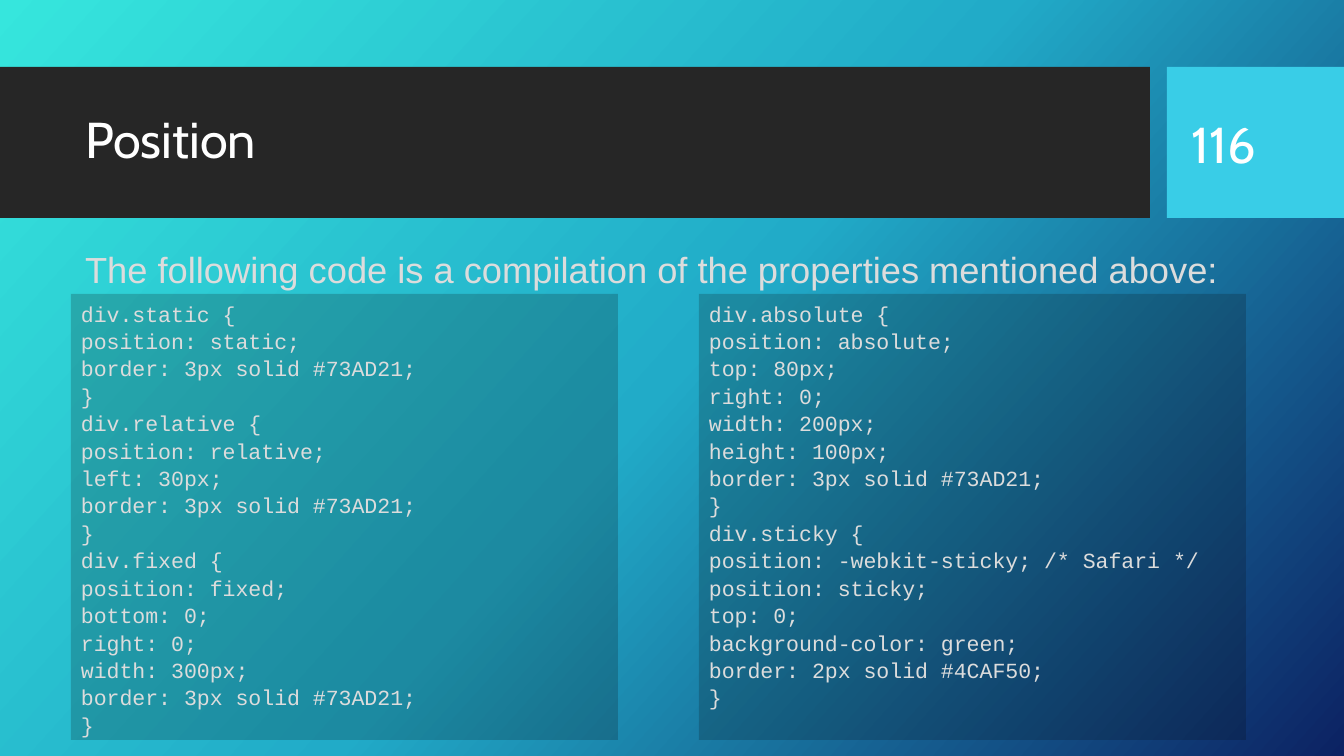
from pptx import Presentation
from pptx.dml.color import RGBColor
from pptx.enum.shapes import MSO_SHAPE
from pptx.enum.text import MSO_ANCHOR, MSO_AUTO_SIZE, PP_ALIGN
from pptx.oxml.ns import qn
from pptx.util import Emu, Pt
from lxml import etree

RECTANGLE = MSO_SHAPE.RECTANGLE
TOP, MIDDLE = MSO_ANCHOR.TOP, MSO_ANCHOR.MIDDLE
LEFT = PP_ALIGN.LEFT
FIXED_SIZE = MSO_AUTO_SIZE.NONE

WIDTH, HEIGHT = 1344, 756
SCALE = 12192000 / WIDTH

COLOURS = {
    "sky": "36E6DD",
    "lagoon": "21ABC8",
    "navy": "0C2263",
    "charcoal": "262626",
    "cyan": "39CDE7",
    "shade": "080808",
    "white": "FFFFFF",
    "silver": "DCDCDC",
}

STYLES = {
    "heading": {"name": "Cabin", "size": 36, "colour": "white", "spacing": 0.9},
    "number": {"name": "Cabin", "size": 36, "colour": "white", "spacing": 1.0},
    "intro": {"name": "Arial", "size": 25.9, "colour": "silver", "spacing": 1.5},
    "code": {"name": "Courier New", "size": 15.4, "colour": "silver", "spacing": 1.06},
}

CODE_COLUMNS = [
    """div.static {
position: static;
border: 3px solid #73AD21;
}
div.relative {
position: relative;
left: 30px;
border: 3px solid #73AD21;
}
div.fixed {
position: fixed;
bottom: 0;
right: 0;
width: 300px;
border: 3px solid #73AD21;
}""",
    """div.absolute {
position: absolute;
top: 80px;
right: 0;
width: 200px;
height: 100px;
border: 3px solid #73AD21;
}
div.sticky {
position: -webkit-sticky; /* Safari */
position: sticky;
top: 0;
background-color: green;
border: 2px solid #4CAF50;
}""",
]


def px(length):
    return Emu(round(length * SCALE))


class SlideBuilder:
    def __init__(self, slide):
        self.slide = slide
        self.shapes = slide.shapes

    def background(self, stops, angle):
        fill = self.slide.background.fill
        fill.gradient()
        fill.gradient_angle = 360 - angle
        stop_list = self.slide.element.find(".//" + qn("a:gsLst"))
        for default_stop in list(stop_list):
            stop_list.remove(default_stop)
        for percent, colour in stops:
            stop = etree.SubElement(stop_list, qn("a:gs"), pos=str(percent * 1000))
            etree.SubElement(stop, qn("a:srgbClr"), val=COLOURS[colour])

    def panel(self, box, colour, opacity=100):
        panel = self.shapes.add_shape(RECTANGLE, *map(px, box))
        panel.shadow.inherit = False
        panel.fill.solid()
        panel.fill.fore_color.rgb = RGBColor.from_string(COLOURS[colour])
        panel.line.fill.background()
        if opacity < 100:
            tint = panel.element.spPr.find(".//" + qn("a:srgbClr"))
            etree.SubElement(tint, qn("a:alpha"), val=str(opacity * 1000))
        return panel

    def placeholder(self, holder, box, text, style, anchor):
        for side, length in zip(("left", "top", "width", "height"), box):
            setattr(holder, side, px(length))
        self.shapes.element.append(holder.element)
        self.set_text(holder.text_frame, text, style, anchor)

    def label(self, box, text, style, anchor):
        label = self.shapes.add_textbox(*map(px, box))
        self.set_text(label.text_frame, text, style, anchor)

    def code(self, box, text):
        panel = self.panel(box, "shade", opacity=20)
        self.set_text(panel.text_frame, text, "code", TOP)

    def set_text(self, frame, text, style, anchor):
        look = STYLES[style]
        frame.text = text
        frame_format = {
            "word_wrap": True,
            "auto_size": FIXED_SIZE,
            "vertical_anchor": anchor,
        }
        for name, value in frame_format.items():
            setattr(frame, name, value)
        paragraph_format = {
            "alignment": LEFT,
            "line_spacing": look["spacing"],
            "space_before": Pt(0),
            "space_after": Pt(0),
        }
        font_format = {"name": look["name"], "size": Pt(look["size"])}
        for paragraph in frame.paragraphs:
            for name, value in paragraph_format.items():
                setattr(paragraph, name, value)
            properties = paragraph._p.get_or_add_pPr()
            properties.set("marL", "0")
            properties.set("indent", "0")
            etree.SubElement(properties, qn("a:buNone"))
            for run in paragraph.runs:
                for name, value in font_format.items():
                    setattr(run.font, name, value)
                run.font.color.rgb = RGBColor.from_string(COLOURS[look["colour"]])


def main():
    deck = Presentation()
    deck.slide_width, deck.slide_height = px(WIDTH), px(HEIGHT)
    slide = deck.slides.add_slide(deck.slide_layouts[1])
    builder = SlideBuilder(slide)

    builder.background([(0, "sky"), (50, "lagoon"), (100, "navy")], 42)
    builder.panel((0, 67, 1150, 151), "charcoal")
    builder.panel((1167, 67, 177, 151), "cyan")
    builder.placeholder(
        slide.shapes.title, (75, 83, 1059, 119), "Position", "heading", MIDDLE
    )
    builder.placeholder(
        slide.placeholders[1],
        (75, 220, 1181, 74),
        "The following code is a compilation of the properties mentioned above:",
        "intro",
        TOP,
    )
    builder.label((1182, 83, 127, 120), "116", "number", MIDDLE)
    for column, code in enumerate(CODE_COLUMNS):
        builder.code((71 + 628 * column, 294, 547, 446), code)

    deck.save("out.pptx")


if __name__ == "__main__":
    main()
